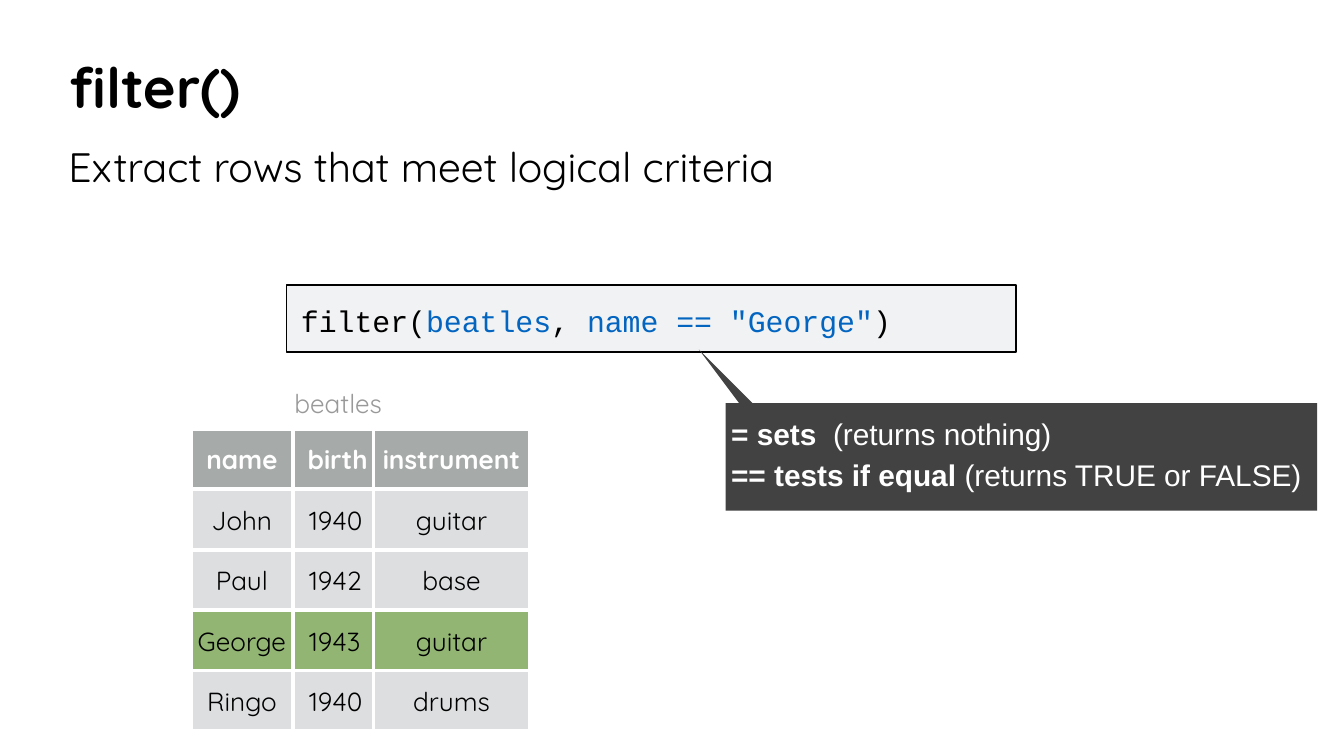
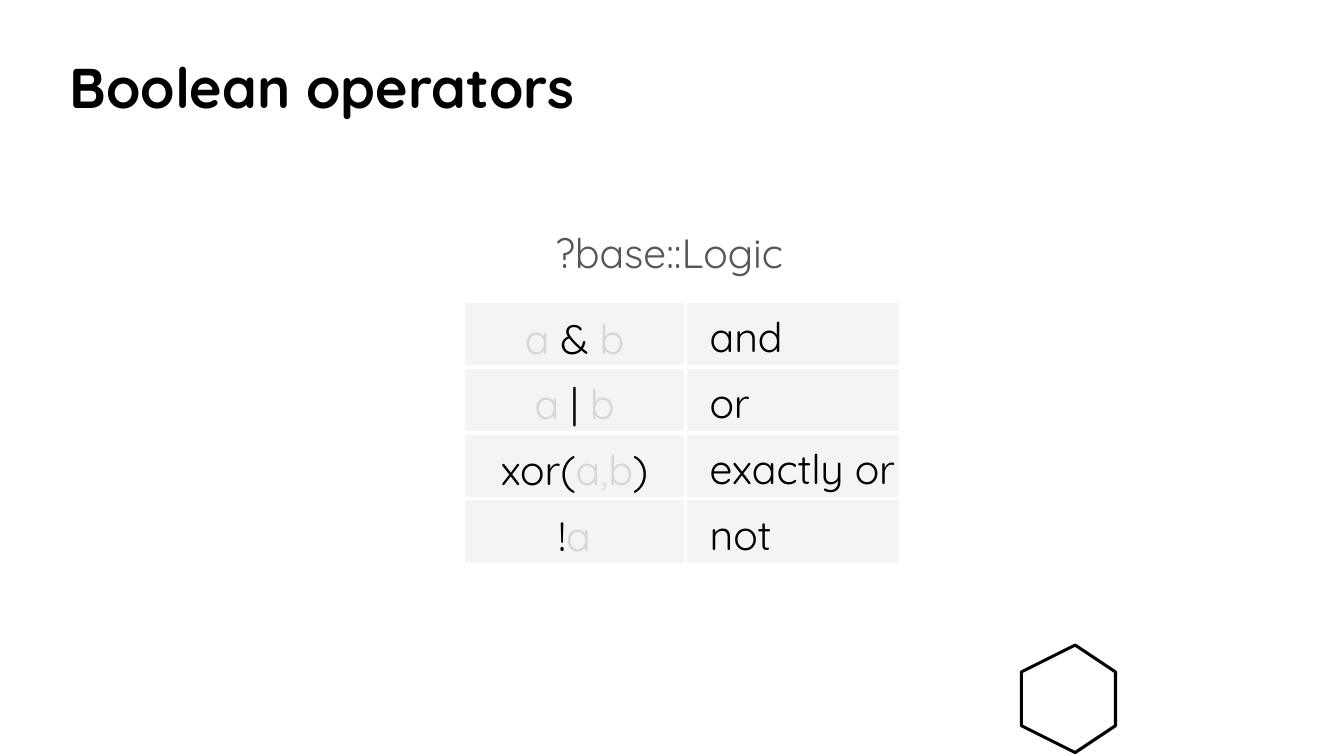
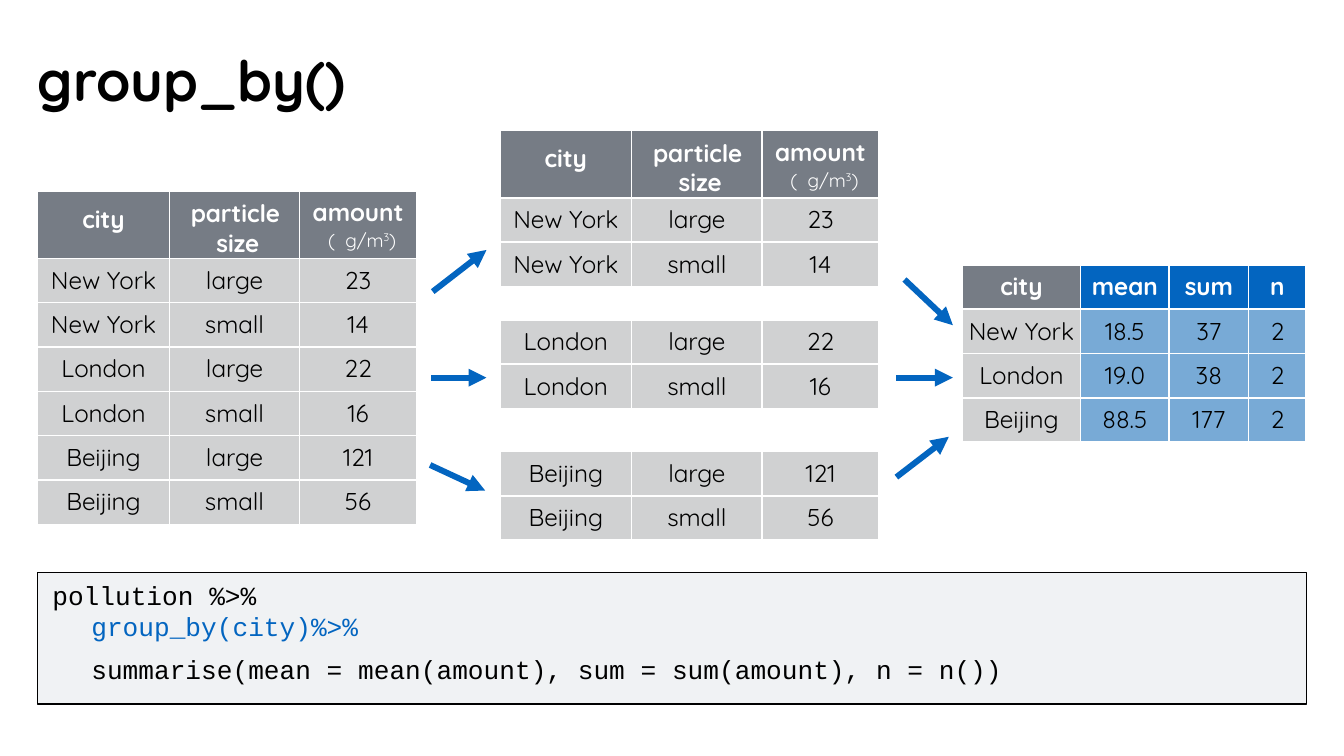
import math
from dataclasses import dataclass, replace

from lxml import etree
from pptx import Presentation, util as u
from pptx.dml.color import RGBColor
from pptx.enum import shapes, text
from pptx.oxml import ns

# Grid: 100 columns across, square cells
CELL = u.Inches(0.1)
COLUMNS, ROWS = 100, 56.25

# Colours
BLACK = RGBColor(0x00, 0x00, 0x00)
WHITE = RGBColor(0xFF, 0xFF, 0xFF)
BLUE = RGBColor(0x03, 0x65, 0xC0)
LIGHT_BLUE = RGBColor(0x78, 0xAA, 0xD6)
GREEN = RGBColor(0x92, 0xB5, 0x73)
CODE_FILL = RGBColor(0xF0, 0xF2, 0xF4)
CALLOUT_FILL = RGBColor(0x42, 0x42, 0x42)
HEAD_GREY = RGBColor(0xA6, 0xAA, 0xA9)
BODY_GREY = RGBColor(0xDC, 0xDE, 0xE0)
HEAD_SLATE = RGBColor(0x76, 0x7C, 0x85)
BODY_SILVER = RGBColor(0xD0, 0xD1, 0xD2)
OPERATOR_FILL = RGBColor(0xEB, 0xEB, 0xEB)
FADED = RGBColor(0xD6, 0xD6, 0xD6)
CAPTION_GREY = RGBColor(0x99, 0x99, 0x99)
HELP_GREY = RGBColor(0x53, 0x58, 0x5F)

LEFT, CENTER = text.PP_ALIGN.LEFT, text.PP_ALIGN.CENTER


@dataclass(frozen=True)
class Style:
    size: float
    color: RGBColor = BLACK
    bold: bool = False
    font: str = "Quicksand"
    raised: bool = False


@dataclass
class Line:
    spans: list
    align: int = LEFT
    indent: float = 0
    first: float = 0
    spacing: float = 1
    before: float = 0


@dataclass
class Cell:
    lines: list
    fill: RGBColor
    top: float
    opacity: int = 100


TITLE = Style(30, bold=True)
LARGE = Style(22)


def grid(*counts):
    return [round(count * CELL) for count in counts]


# Text
def write_lines(frame, lines, holder, top=0, side=0):
    """Write lines into a frame; the holder (frame or cell) owns the margins."""
    holder.margin_top, holder.margin_left = grid(top, side)
    holder.margin_right, holder.margin_bottom = grid(side, 0)
    holder.vertical_anchor = text.MSO_ANCHOR.TOP
    for index, line in enumerate(lines):
        para = frame.add_paragraph() if index else frame.paragraphs[0]
        para.alignment = line.align
        para.line_spacing = line.spacing
        para.space_before = u.Pt(line.before)
        margin, hanging = grid(line.indent, line.first)
        properties = para._p.get_or_add_pPr()
        properties.set("marL", str(margin))
        properties.set("indent", str(hanging))
        for wording, style in line.spans:
            if wording == "\n":
                para.add_line_break()
                continue
            span = para.add_run()
            span.text = wording
            span.font.name = style.font
            span.font.size = u.Pt(style.size)
            span.font.bold = style.bold
            span.font.color.rgb = style.color
            if style.raised:
                span.font._element.set("baseline", "30000")


def add_text(page, place, lines, top=0, side=0):
    box = page.shapes.add_textbox(*grid(*place))
    box.text_frame.word_wrap = True
    write_lines(box.text_frame, lines, box.text_frame, top, side)


def add_titled_page(deck, title, place):
    page = deck.slides.add_slide(deck.slide_layouts[5])
    box = page.shapes.title
    box.left, box.top, box.width, box.height = grid(*place)
    frame = box.text_frame
    frame.auto_size = text.MSO_AUTO_SIZE.NONE
    write_lines(frame, [Line([(title, TITLE)])], frame)
    return page


# Shapes
def paint(shape, fill=None, line_width=None):
    shape.shadow.inherit = False
    if fill is None:
        shape.fill.background()
    else:
        shape.fill.solid()
        shape.fill.fore_color.rgb = fill
    if line_width is None:
        shape.line.fill.background()
    else:
        shape.line.color.rgb = BLACK
        shape.line.width = u.Pt(line_width)


def add_code_box(page, place, lines, top):
    box = page.shapes.add_shape(shapes.MSO_SHAPE.RECTANGLE, *grid(*place))
    paint(box, CODE_FILL, 0.75)
    box.text_frame.word_wrap = True
    write_lines(box.text_frame, lines, box.text_frame, top)


def add_outline(page, points, fill=None, line_width=None):
    builder = page.shapes.build_freeform(*points[0], scale=CELL)
    builder.add_line_segments(points[1:], close=True)
    paint(builder.convert_to_shape(), fill, line_width)


def arc(center_x, center_y, radius_x, radius_y, start, stop, steps):
    angles = [math.radians(start + (stop - start) * step / steps)
              for step in range(steps + 1)]
    return [(center_x + radius_x * math.cos(angle),
             center_y + radius_y * math.sin(angle)) for angle in angles]


def add_callout(page, left, top, width, height, tip):
    across, down = 2.4, 0.9
    west, east = left + across, left + width - across
    north, south = top + down, top + height - down
    points = [tip]
    for x, y, start, stop in ((west, north, 234, 180), (west, south, 180, 90),
                              (east, south, 90, 0), (east, north, 360, 270)):
        points += arc(x, y, across, down, start, stop, 8)
    points.append((west, top))
    add_outline(page, points, CALLOUT_FILL)


def add_arrow(page, start, end):
    arrow = page.shapes.add_connector(
        shapes.MSO_CONNECTOR.STRAIGHT, *grid(*start, *end))
    arrow.line.color.rgb = BLUE
    arrow.line.width = u.Pt(3.2)
    etree.SubElement(arrow.line._get_or_add_ln(), ns.qn("a:tailEnd"),
                     type="triangle")
    etree.SubElement(arrow._element.spPr, ns.qn("a:effectLst"))


# Tables
def add_borders(cell, width):
    properties = cell._tc.get_or_add_tcPr()
    for side in ("lnL", "lnR", "lnT", "lnB"):
        line = etree.SubElement(properties, ns.qn("a:" + side),
                                w=str(u.Pt(width)))
        fill = etree.SubElement(line, ns.qn("a:solidFill"))
        etree.SubElement(fill, ns.qn("a:srgbClr"), val=str(WHITE))


def add_table(page, left, top, widths, heights, rows, border):
    frame = page.shapes.add_table(
        len(rows), len(widths),
        *grid(left, top, sum(widths), sum(heights)))
    table = frame.table
    table.first_row = table.horz_banding = False
    for column, width in zip(table.columns, grid(*widths)):
        column.width = width
    for row, height, contents in zip(table.rows, grid(*heights), rows):
        row.height = height
        for cell, content in zip(row.cells, contents):
            add_borders(cell, border)
            cell.fill.solid()
            cell.fill.fore_color.rgb = content.fill
            if content.opacity < 100:
                color = cell._tc.tcPr.find(ns.qn("a:solidFill"))[0]
                etree.SubElement(color, ns.qn("a:alpha"),
                                 val=str(content.opacity * 1000))
            write_lines(cell.text_frame, content.lines, cell, content.top)


def centered(wording, style, fill, top):
    return Cell([Line([(wording, style)], CENTER)], fill, top)


# Slide 1
def build_filter(deck):
    page = add_titled_page(deck, "filter()", (5.2, 3.9, 81, 6.7))
    add_text(page, (4.6, 10, 53.7, 3.6),
             [Line([("Extract rows that meet logical criteria", LARGE)])], 0.5, 0.5)

    code = Style(16, font="Courier New")
    argument = replace(code, color=BLUE)
    add_code_box(page, (21.3, 21.2, 54.3, 5), [Line([
        ("filter(", code), ("beatles", argument), (", ", code),
        ('name == "George"', argument), (")", code)], indent=1.1)], 1.3)

    add_callout(page, 53.8, 29.5, 44.5, 8.9, tip=(52.5, 26.4))
    note = Style(16, WHITE, font="Arial")
    strong = replace(note, bold=True)
    add_text(page, (54.4, 30.4, 45.2, 11.6), [
        Line([("= sets  ", strong), ("(returns nothing)", note)], spacing=1.16),
        Line([("== tests if equal ", strong),
              ("(returns TRUE or FALSE)", note)], spacing=1.16)], 0.1)

    # Band members, with the matching row in green
    add_text(page, (21.4, 28.3, 17.3, 2.6),
             [Line([("beatles", Style(14, CAPTION_GREY))])], 0.5, 0.5)
    members = [("name", "birth", "instrument"), ("John", "1940", "guitar"),
               ("Paul", "1942", "base"), ("George", "1943", "guitar"),
               ("Ringo", "1940", "drums")]
    rows = []
    for index, member in enumerate(members):
        style = Style(14) if index else Style(14, WHITE, True)
        fill = BODY_GREY if index else HEAD_GREY
        if member[0] == "George":
            fill = GREEN
        row = [centered(value, style, fill, 1.1) for value in member]
        row[1].lines = [Line([(member[1], style)], indent=1.2 if index else 1.1)]
        rows.append(row)
    add_table(page, 14.2, 31.9, (7.6, 6, 11.6), [4.5] * 5, rows, 2.25)


# Slide 2
def build_operators(deck):
    page = add_titled_page(deck, "Boolean operators", (5.2, 3.9, 56.9, 6.7))
    add_text(page, (41.3, 16.8, 20.1, 3),
             [Line([("?base::Logic", replace(LARGE, color=HELP_GREY))])], 0.1)

    faded = replace(LARGE, color=FADED)
    comma = replace(LARGE, color=BODY_GREY)
    operators = [
        ([("a ", faded), ("& ", LARGE), ("b", faded)], "and"),
        ([("a ", faded), ("| ", LARGE), ("b", faded)], "or"),
        ([("xor(", LARGE), ("a", faded), (",", comma), ("b", faded),
          (")", LARGE)], "exactly or"),
        ([("!", LARGE), ("a", faded)], "not")]
    rows = [[Cell([Line(spans, CENTER)], OPERATOR_FILL, 0.9, 50),
             Cell([Line([(meaning, LARGE)], indent=1.8)], OPERATOR_FILL, 0.8, 50)]
            for spans, meaning in operators]
    add_table(page, 34.5, 22.4, (16.5, 16), [4.9] * 4, rows, 2.25)

    # Hexagon standing on a corner
    add_outline(page, arc(79.5, 51.9, 3.6, 3.6, -90, 210, 5), line_width=1.65)


# Slide 3
def build_group_by(deck):
    page = add_titled_page(deck, "group_by()", (2.8, 3.4, 41.2, 6.4))
    body, head = Style(13), Style(13, WHITE, True)
    unit = Style(10, WHITE)
    row_height = 3.3

    header = [
        centered("city", head, HEAD_SLATE, 1),
        Cell([Line([("particle size", head)], indent=3.5, first=-1.9,
                   spacing=0.98)], HEAD_SLATE, 0.6),
        Cell([Line([("amount", head)], CENTER, spacing=1.09),
              Line([("(µg/m", unit), ("3", replace(unit, raised=True)),
                    (")", unit)], CENTER, indent=0.6, spacing=1.05)],
             HEAD_SLATE, 0.3)]
    pollution = [("New York", "large", "23"), ("New York", "small", "14"),
                 ("London", "large", "22"), ("London", "small", "16"),
                 ("Beijing", "large", "121"), ("Beijing", "small", "56")]
    records = [[centered(value, body, BODY_SILVER, 0.5) for value in record]
               for record in pollution]

    # All records, then one table for each city
    pieces = [(2.8, 14.2, [header] + records), (37.2, 9.7, [header] + records[:2]),
              (37.2, 23.8, records[2:4]), (37.2, 33.6, records[4:])]
    for left, top, rows in pieces:
        heights = [4.4 if row is header else row_height for row in rows]
        add_table(page, left, top, (9.8, 9.7, 8.7), heights, rows, 1)

    # Summary
    summary = [("city", "mean", "sum", "n"), ("New York", "18.5", "37", "2"),
               ("London", "19.0", "38", "2"), ("Beijing", "88.5", "177", "2")]
    rows = []
    for index, values in enumerate(summary):
        style = body if index else head
        key, result = (BODY_SILVER, LIGHT_BLUE) if index else (HEAD_SLATE, BLUE)
        rows.append([centered(value, style, result if column else key, 0.5)
                     for column, value in enumerate(values)])
    add_table(page, 71.6, 19.7, (8.8, 6.6, 5.9, 4.3), [row_height] * 4, rows, 1)

    # Arrows that split and combine the groups
    for start, end in (((32.2, 21.7), (36.2, 18.6)), ((32.1, 28.1), (36.2, 28.1)),
                       ((32, 34.6), (36.1, 36.5)), ((67.3, 20.8), (70.9, 24.2)),
                       ((66.7, 28.1), (70.9, 28.1)), ((66.7, 35.5), (70.6, 32.5))):
        add_arrow(page, start, end)

    code = Style(14, font="Courier New")
    add_code_box(page, (2.8, 42.6, 94.4, 9.8), [
        Line([("pollution %>%", code), ("\n", code),
              ("group_by(city)%>%", replace(code, color=BLUE))],
             indent=4, first=-2.9),
        Line([("summarise(mean = mean(amount), sum = sum(amount), n = n())",
               code)], indent=4, before=6)], 0.5)


def main():
    deck = Presentation()
    deck.slide_width, deck.slide_height = grid(COLUMNS, ROWS)
    build_filter(deck)
    build_operators(deck)
    build_group_by(deck)
    deck.save("out.pptx")


if __name__ == "__main__":
    main()
